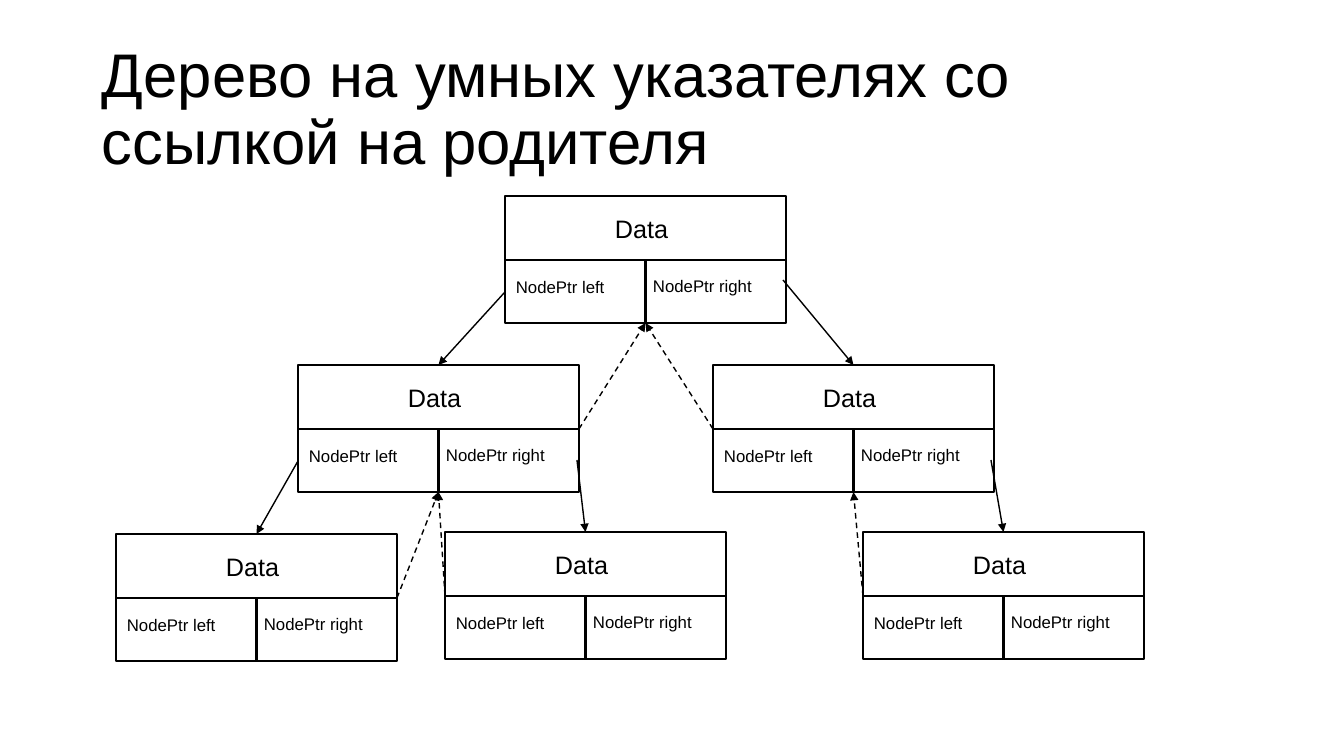
from lxml import etree
from pptx import Presentation
from pptx import util as u
from pptx.dml.color import RGBColor
from pptx.enum import dml, shapes, text
from pptx.oxml.ns import qn

EMU_PER_PX = 914400 / 100.8
COLORS = {"ink": "000000", "paper": "FFFFFF"}
FONT = "Arial"
NODE_W, NODE_H, SPLIT = 281, 127, 64

# Top left corner of each tree node
NODES = {
    "root": (505, 196),
    "left": (298, 365),
    "right": (713, 365),
    "left.left": (116, 534),
    "left.right": (445, 532),
    "right.right": (863, 532),
}

# Parent, child, and where the arrow starts inside the parent
LINKS = [
    ("root", "left", (0, 96)),
    ("root", "right", (278, 84)),
    ("left", "left.left", (0, 96)),
    ("left", "left.right", (279, 95)),
    ("right", "right.right", (278, 95)),
]


def px(n):
    return u.Emu(round(n * EMU_PER_PX))


def rgb(name):
    return RGBColor.from_string(COLORS[name])


class TreeSlide:
    def __init__(self, prs):
        self.s = prs.slides.add_slide(prs.slide_layouts[6])
        self.s.background.fill.solid()
        self.s.background.fill.fore_color.rgb = rgb("paper")

    def label(self, words, x, y, w, h, size=12, spacing=None,
              anchor=text.MSO_ANCHOR.TOP, parent=None):
        sp = (parent or self.s).shapes.add_textbox(px(x), px(y), px(w), px(h))
        tf = sp.text_frame
        tf.word_wrap = True
        tf.vertical_anchor = anchor
        p = tf.paragraphs[0]
        if spacing:
            p.line_spacing = spacing
        r = p.add_run()
        r.text = words
        r.font.name = FONT
        r.font.size = u.Pt(size)
        r.font.color.rgb = rgb("ink")

    def line(self, start, end, width=1.0, arrow=False, dashed=False, parent=None):
        c = (parent or self.s).shapes.add_connector(
            shapes.MSO_CONNECTOR.STRAIGHT, *map(px, start + end))
        c.line.color.rgb = rgb("ink")
        c.line.width = u.Pt(width)
        if dashed:
            c.line.dash_style = dml.MSO_LINE.DASH
        props = c.element.spPr
        if arrow:
            etree.SubElement(props.find(qn("a:ln")), qn("a:tailEnd"), type="triangle")
        etree.SubElement(props, qn("a:effectLst"))

    def node(self, x, y):
        """Draw a box with a data row above two pointer cells."""
        g = self.s.shapes.add_group_shape()
        sp = g.shapes.add_shape(shapes.MSO_SHAPE.RECTANGLE,
                                px(x), px(y), px(NODE_W), px(NODE_H))
        sp.shadow.inherit = False
        sp.fill.solid()
        sp.fill.fore_color.rgb = rgb("paper")
        sp.line.color.rgb = rgb("ink")
        sp.line.width = u.Pt(1)
        mid = x + NODE_W / 2
        self.line((x, y + SPLIT), (x + NODE_W, y + SPLIT), 1.5, parent=g)
        self.line((mid, y + NODE_H), (mid, y + SPLIT), 1.5, parent=g)
        self.label("NodePtr left", x + 1, y + 76, 156, 40, parent=g)
        self.label("NodePtr right", x + 138, y + 75, 156, 40, parent=g)
        self.label("Data", x + 100, y + 12, 114, 40, size=18, parent=g)

    def link(self, parent, child, start):
        """Draw the solid arrow to a child and the dashed arrow back."""
        (x, y), (cx, cy) = NODES[parent], NODES[child]
        half = NODE_W / 2
        self.line((x + start[0], y + start[1]), (cx + half, cy), arrow=True)
        near_edge = cx + NODE_W if cx < x else cx
        self.line((near_edge, cy + SPLIT), (x + half, y + NODE_H),
                  arrow=True, dashed=True)


def main():
    prs = Presentation()
    prs.slide_width, prs.slide_height = px(1344), px(756)
    slide = TreeSlide(prs)
    slide.label("Дерево на умных указателях со ссылкой на родителя",
                92, 38, 1159, 146, size=44, spacing=0.9,
                anchor=text.MSO_ANCHOR.MIDDLE)
    for corner in NODES.values():
        slide.node(*corner)
    for link in LINKS:
        slide.link(*link)
    prs.save("out.pptx")


if __name__ == "__main__":
    main()
